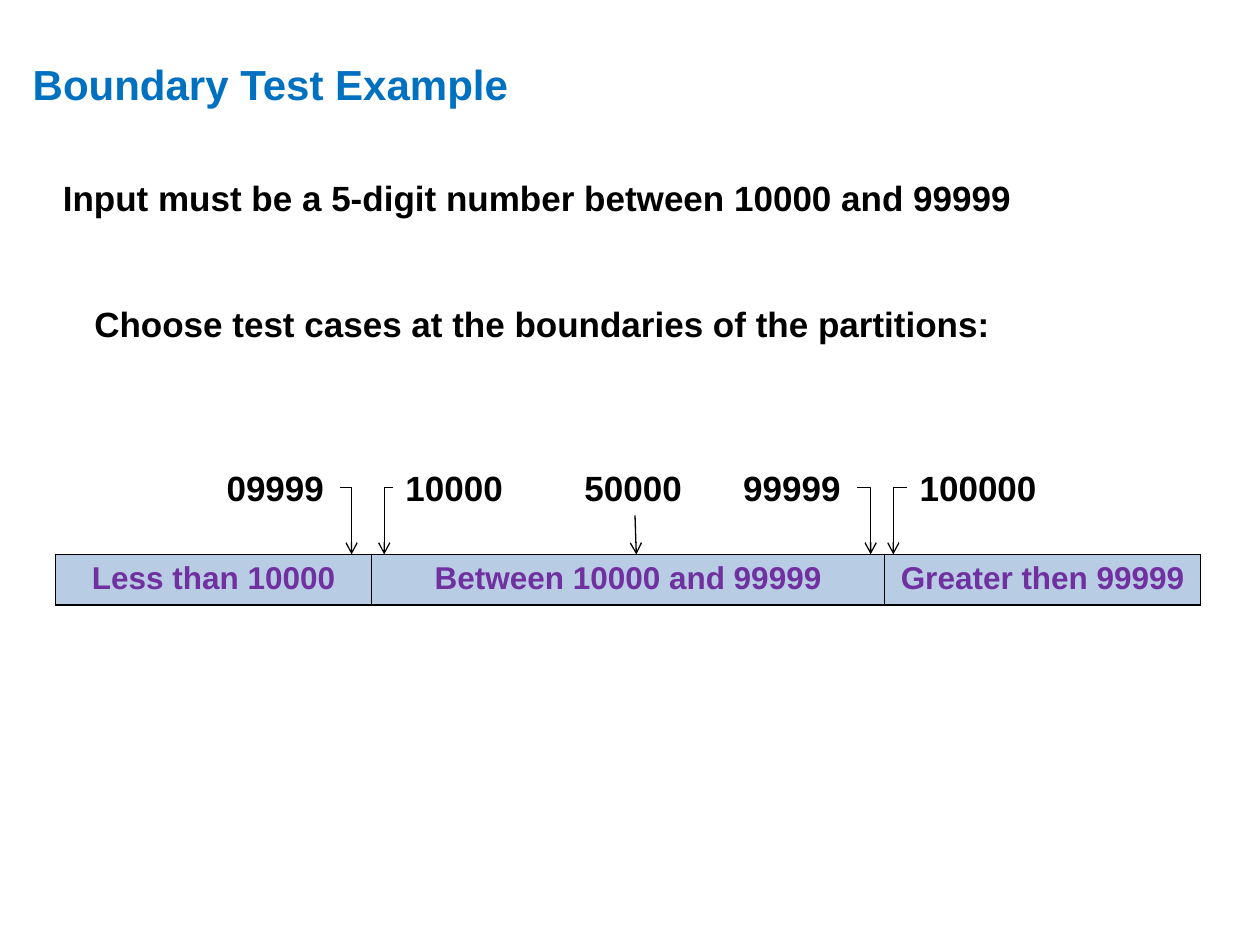
import dataclasses
import typing

import lxml.etree
import pptx
import pptx.dml.color
import pptx.enum.shapes
import pptx.enum.text
import pptx.oxml.ns
import pptx.util

Inches = pptx.util.Inches
Align = pptx.enum.text.PP_ALIGN
Anchor = pptx.enum.text.MSO_ANCHOR
Link = pptx.enum.shapes.MSO_CONNECTOR
qn = pptx.oxml.ns.qn

LABEL_TOP = 3.65
BEND_TOP = 3.87
BAR_TOP = 4.4


@dataclasses.dataclass
class Label:
    text: str
    left: float
    top: float
    width: float


@dataclasses.dataclass
class Arrow:
    start: float
    end: float
    top: float = BEND_TOP
    bent: bool = True


@dataclasses.dataclass
class Part:
    text: str
    width: float


def color(code: str) -> pptx.dml.color.RGBColor:
    return pptx.dml.color.RGBColor.from_string(code)


def write(frame: typing.Any, text: str, *, size: float = 20, ink: str = "000000",
          align: typing.Any = Align.LEFT, anchor: typing.Any = None) -> None:
    frame.word_wrap = True
    if anchor is not None:
        frame.vertical_anchor = anchor
    line = frame.paragraphs[0]
    line.alignment = align
    run = line.add_run()
    run.text = text
    run.font.name = "Arial"
    run.font.size = pptx.util.Pt(size)
    run.font.bold = True
    run.font.color.rgb = color(ink)


def place(shapes: typing.Any, label: Label) -> None:
    box = shapes.add_textbox(Inches(label.left), Inches(label.top),
                             Inches(label.width), Inches(0.44))
    write(box.text_frame, label.text)


def point(shapes: typing.Any, arrow: Arrow) -> None:
    kind = Link.ELBOW if arrow.bent else Link.STRAIGHT
    link = shapes.add_connector(kind, Inches(arrow.start), Inches(arrow.top),
                                Inches(arrow.end), Inches(BAR_TOP))
    link.line.width = pptx.util.Pt(0.75)
    link.line.color.rgb = color("000000")
    props = link.element.find(qn("p:spPr"))
    if arrow.bent:
        props.find(qn("a:prstGeom")).set("prst", "bentConnector2")
    lxml.etree.SubElement(props.find(qn("a:ln")), qn("a:tailEnd"), type="arrow")
    lxml.etree.SubElement(props, qn("a:effectLst"))


def border(cell: typing.Any) -> None:
    props = cell._tc.get_or_add_tcPr()
    for side in ("L", "R", "T", "B"):
        edge = lxml.etree.SubElement(props, qn(f"a:ln{side}"), w=str(pptx.util.Pt(1)))
        fill = lxml.etree.SubElement(edge, qn("a:solidFill"))
        lxml.etree.SubElement(fill, qn("a:srgbClr"), val="000000")


def draw_bar(shapes: typing.Any, parts: list[Part]) -> None:
    total = sum(part.width for part in parts)
    table = shapes.add_table(1, len(parts), Inches(0.44), Inches(BAR_TOP),
                             Inches(total), Inches(0.4)).table
    table.first_row = False
    table.horz_banding = False
    for index, part in enumerate(parts):
        table.columns[index].width = Inches(part.width)
        cell = table.cell(0, index)
        border(cell)
        cell.fill.solid()
        cell.fill.fore_color.rgb = color("B8CCE4")
        write(cell.text_frame, part.text, size=18, ink="7030A0", align=Align.CENTER)


NOTES = [
    Label("Input must be a 5-digit number between 10000 and 99999", 0.4, 1.35, 8.51),
    Label("Choose test cases at the boundaries of the partitions:", 0.65, 2.35, 8.14),
]
PARTS = [
    Part("Less than 10000", 2.51),
    Part("Between 10000 and 99999", 4.07),
    Part("Greater then 99999", 2.51),
]
CASES = [
    Label("09999", 1.7, LABEL_TOP, 1),
    Label("10000", 3.12, LABEL_TOP, 1),
    Label("50000", 4.54, LABEL_TOP, 1),
    Label("99999", 5.8, LABEL_TOP, 1),
    Label("100000", 7.2, LABEL_TOP, 1.29),
]
ARROWS = [
    Arrow(2.7, 2.79),
    Arrow(3.12, 3.05),
    Arrow(6.8, 6.91),
    Arrow(7.2, 7.09),
    Arrow(5.04, 5.05, top=4.09, bent=False),
]

deck = pptx.Presentation()
deck.slide_width = Inches(10)
deck.slide_height = Inches(7.5)
slide = deck.slides.add_slide(deck.slide_layouts[5])

title = slide.shapes.title
title.left, title.top = Inches(0.16), Inches(0.39)
title.width, title.height = Inches(9.61), Inches(0.55)
write(title.text_frame, "Boundary Test Example", size=24, ink="0070C0",
      anchor=Anchor.MIDDLE)

for note in NOTES:
    place(slide.shapes, note)
draw_bar(slide.shapes, PARTS)

group = slide.shapes.add_group_shape()
for case in CASES:
    place(group.shapes, case)
for arrow in ARROWS:
    point(group.shapes, arrow)

deck.save("out.pptx")
